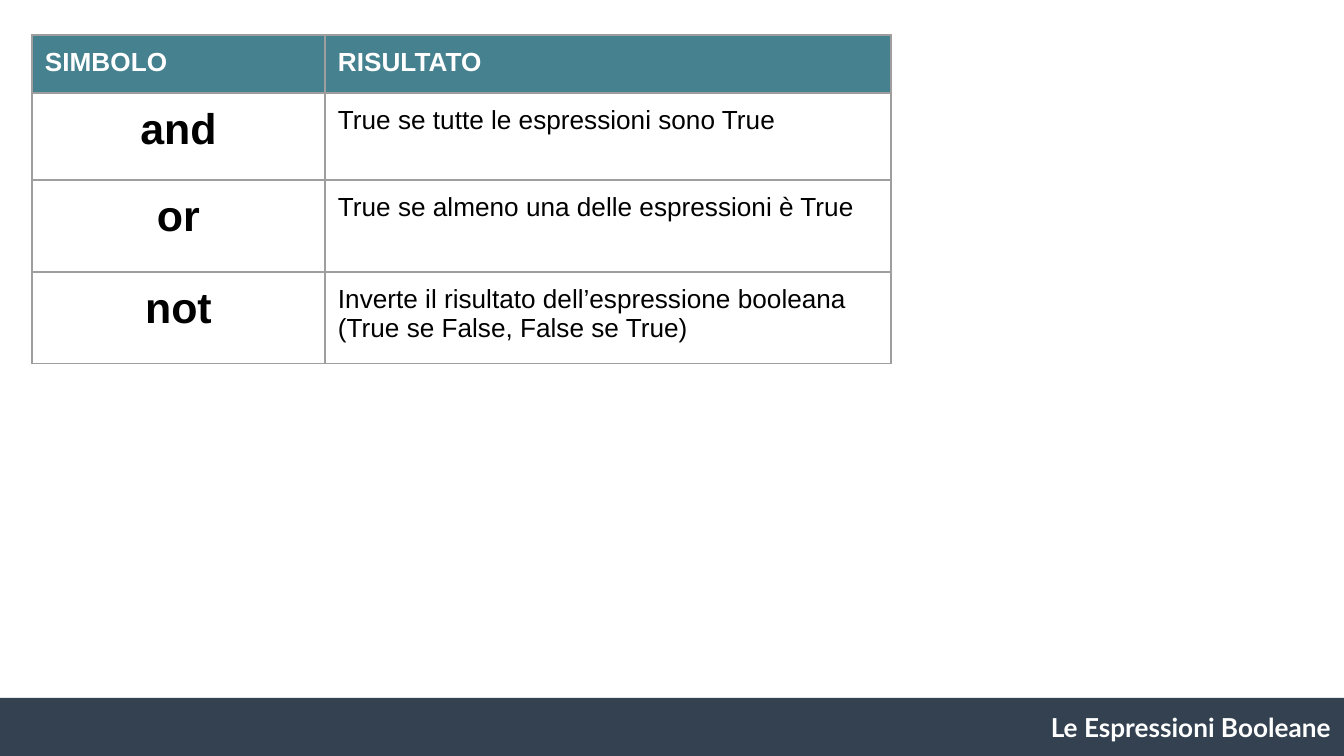
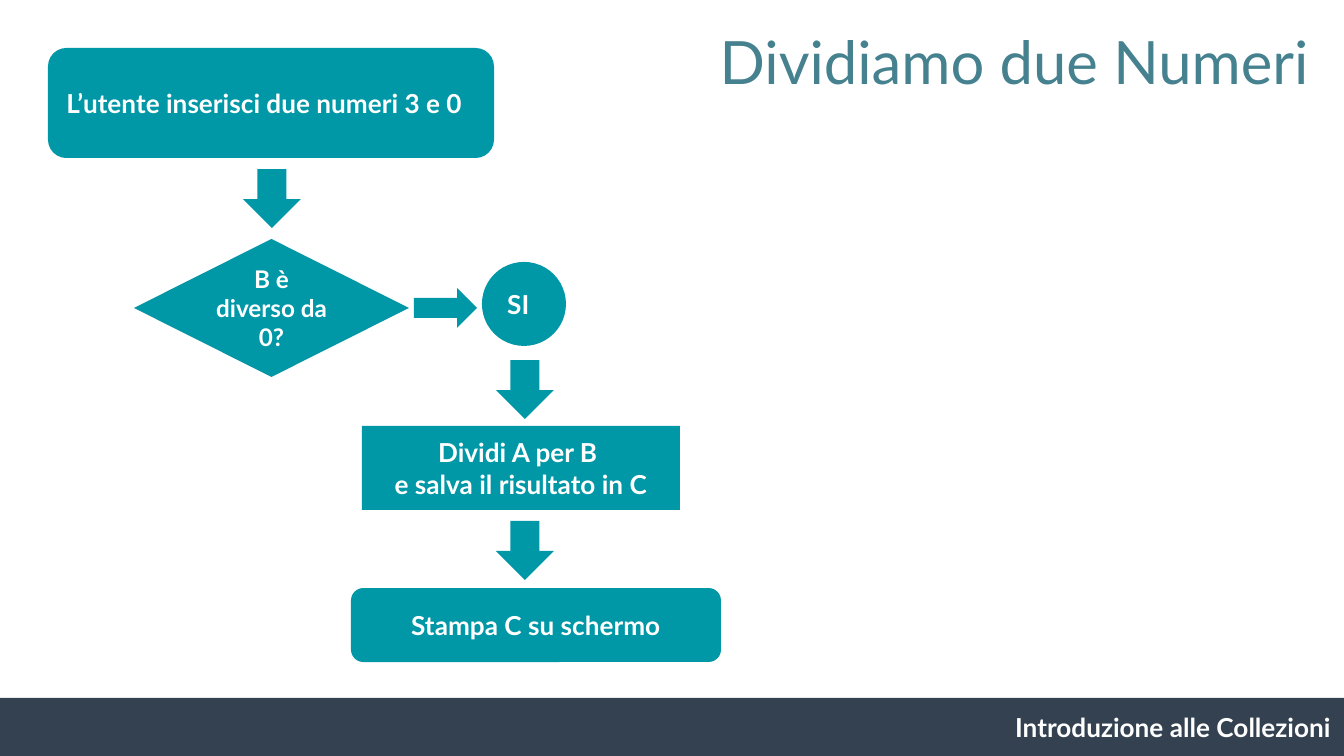
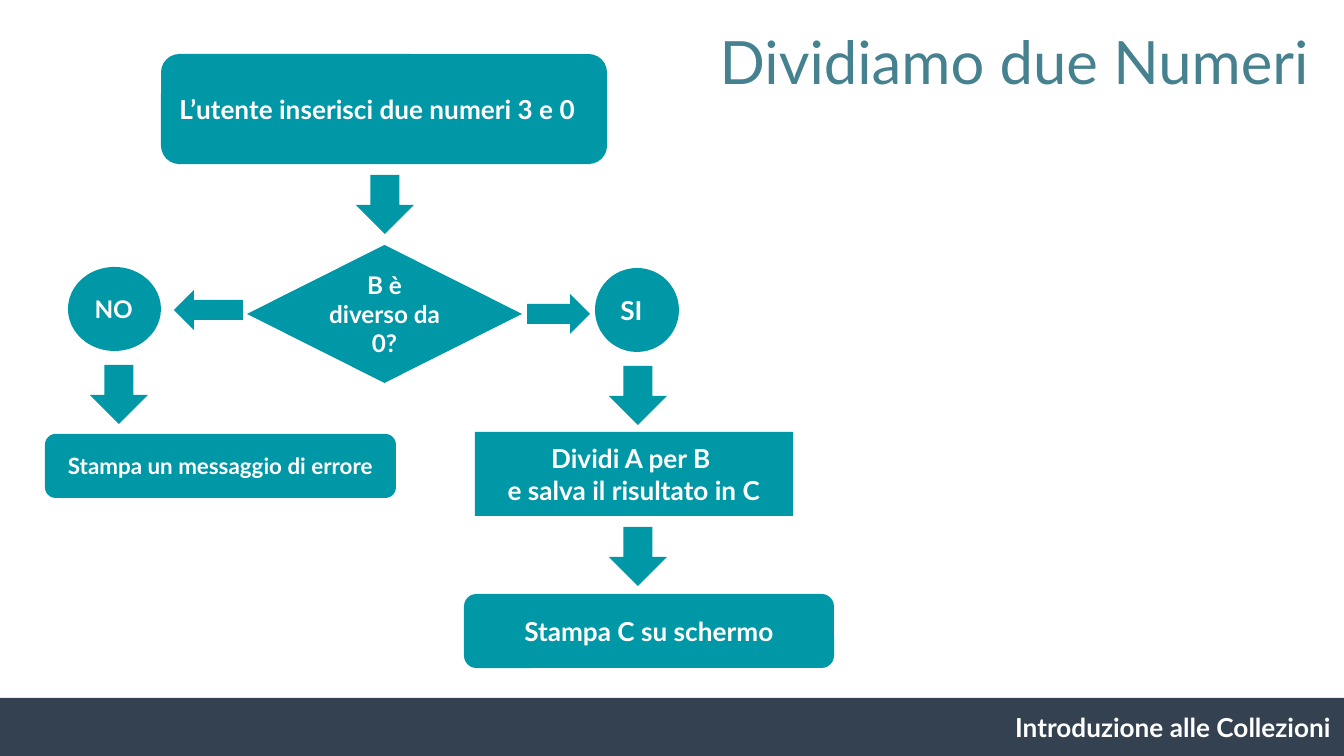
from lxml.etree import SubElement as Sub
from pptx import Presentation
from pptx.dml.color import RGBColor as RGB
from pptx.enum.shapes import MSO_SHAPE as Kind
from pptx.enum.text import MSO_ANCHOR as Anchor, PP_ALIGN as Align
from pptx.oxml.ns import qn
from pptx.util import Pt

SCALE = 914400 / 134.4
WIDE, HIGH = 1344, 756
PAD = 13
HEX = {"bar": "334150", "head": "45818E", "node": "0097A7",
       "rule": "9E9E9E", "white": "FFFFFF", "black": "000000"}


def px(num):
    return round(num * SCALE)


def tint(name):
    return RGB.from_string(HEX[name])


def write(frame, text, size, color="white", bold=True, align=Align.LEFT, face="Lato"):
    frame.text = text
    for para in frame.paragraphs:
        para.alignment = align
        font = para.font
        font.name, font.size, font.bold = face, Pt(size), bold
        font.color.rgb = tint(color)


def pad(item):
    item.margin_left = item.margin_right = px(PAD)
    item.margin_top = item.margin_bottom = px(PAD)


def label(slide, box, text, size, color="white", bold=True):
    frame = slide.shapes.add_textbox(*map(px, box)).text_frame
    frame.word_wrap = True
    pad(frame)
    write(frame, text, size, color, bold, Align.RIGHT)


def block(slide, kind, box, color="node"):
    shape = slide.shapes.add_shape(kind, *map(px, box))
    shape.shadow.inherit = False
    shape.fill.solid()
    shape.fill.fore_color.rgb = tint(color)
    shape.line.fill.background()
    return shape


def node(slide, kind, box, text, size=14, align=Align.CENTER):
    frame = block(slide, kind, box).text_frame
    frame.word_wrap = True
    frame.vertical_anchor = Anchor.MIDDLE
    pad(frame)
    write(frame, text, size, align=align)


def drop(slide, left, top):
    block(slide, Kind.DOWN_ARROW, (left, top, 58, 59))


def footer(slide, text):
    top = HIGH - 58
    block(slide, Kind.RECTANGLE, (-3, top, WIDE + 3, 58), "bar")
    label(slide, (WIDE - 359, top, 359, 59), text, 14)


def title(slide, text):
    label(slide, (547, 12, 775, 99), text, 32, "head", False)


def edge(cell):
    props = cell._tc.get_or_add_tcPr()
    for side in ("lnL", "lnR", "lnT", "lnB"):
        line = Sub(props, qn("a:" + side), w=str(Pt(0.75)))
        fill = Sub(line, qn("a:solidFill"))
        Sub(fill, qn("a:srgbClr"), val=HEX["rule"])


def grid(slide, left, top, rows):
    cols, highs = (293, 566), (58, 87, 92, 92)
    box = (left, top, sum(cols), sum(highs))
    table = slide.shapes.add_table(len(rows), len(cols), *map(px, box)).table
    table.first_row = table.horz_banding = False
    for col, wide in zip(table.columns, cols):
        col.width = px(wide)
    for i, (row, high) in enumerate(zip(rows, highs)):
        table.rows[i].height = px(high)
        for j, text in enumerate(row):
            cell = table.cell(i, j)
            pad(cell)
            edge(cell)
            if i == 0:
                cell.fill.solid()
                cell.fill.fore_color.rgb = tint("head")
            else:
                cell.fill.background()
            key = i > 0 and j == 0
            write(cell.text_frame, text, 23 if key else 14,
                  "black" if i else "white", key or i == 0,
                  Align.CENTER if key else Align.LEFT, "Arial")


def flow(slide, left, top):
    node(slide, Kind.ROUNDED_RECTANGLE, (left, top, 446, 110),
         "L’utente inserisci due numeri 3 e 0", align=Align.LEFT)
    drop(slide, left + 195, top + 121)
    node(slide, Kind.DIAMOND, (left + 86, top + 191, 275, 138), "B è diverso da 0?", 13)
    block(slide, Kind.RIGHT_ARROW, (left + 366, top + 240, 63, 40))
    node(slide, Kind.OVAL, (left + 434, top + 214, 84, 84), "SI", align=Align.LEFT)
    drop(slide, left + 448, top + 312)
    node(slide, Kind.RECTANGLE, (left + 314, top + 378, 318, 84),
         "Dividi A per B \ne salva il risultato in C")
    drop(slide, left + 448, top + 473)
    node(slide, Kind.ROUNDED_RECTANGLE, (left + 303, top + 540, 370, 74),
         "Stampa C su schermo")


def branch(slide, left, top):
    block(slide, Kind.LEFT_ARROW, (left + 129, top + 23, 69, 40))
    node(slide, Kind.OVAL, (left + 23, top, 93, 84), "NO", 13, Align.LEFT)
    drop(slide, left + 45, top + 98)
    node(slide, Kind.ROUNDED_RECTANGLE, (left, top + 167, 351, 64),
         "Stampa un messaggio di errore", 12)


def main():
    deck = Presentation()
    deck.slide_width, deck.slide_height = px(WIDE), px(HIGH)
    blank = deck.slide_layouts[6]
    logic, short, full = (deck.slides.add_slide(blank) for _ in range(3))

    footer(logic, "Le Espressioni Booleane")
    grid(logic, 32, 35, [
        ("SIMBOLO", "RISULTATO"),
        ("and", "True se tutte le espressioni sono True"),
        ("or", "True se almeno una delle espressioni è True"),
        ("not", "Inverte il risultato dell’espressione booleana\n"
                "(True se False, False se True)"),
    ])

    for slide, left, top in ((short, 48, 48), (full, 161, 54)):
        footer(slide, "Introduzione alle Collezioni")
        title(slide, "Dividiamo due Numeri")
        flow(slide, left, top)
    branch(full, 45, 267)

    deck.save("out.pptx")


if __name__ == "__main__":
    main()
